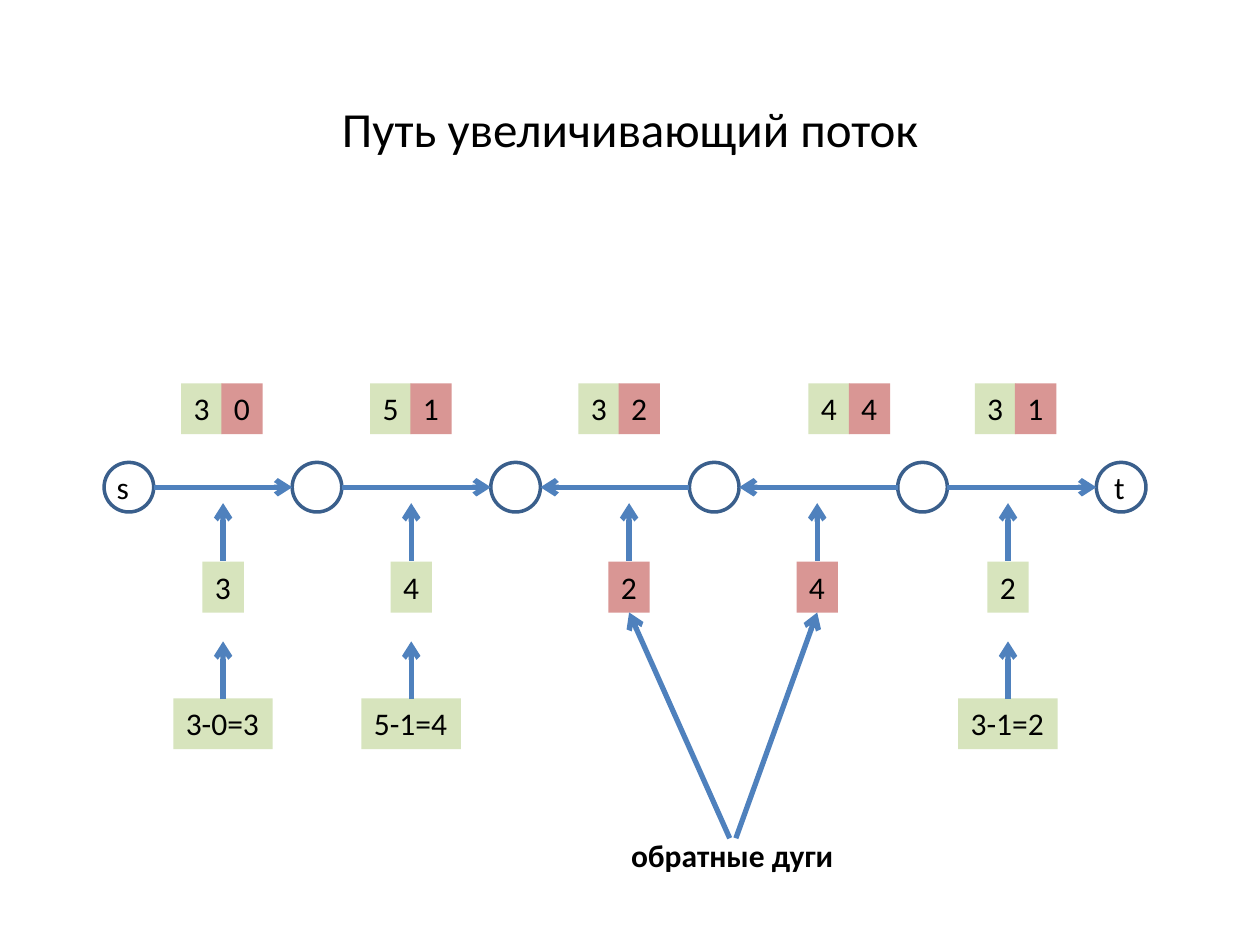
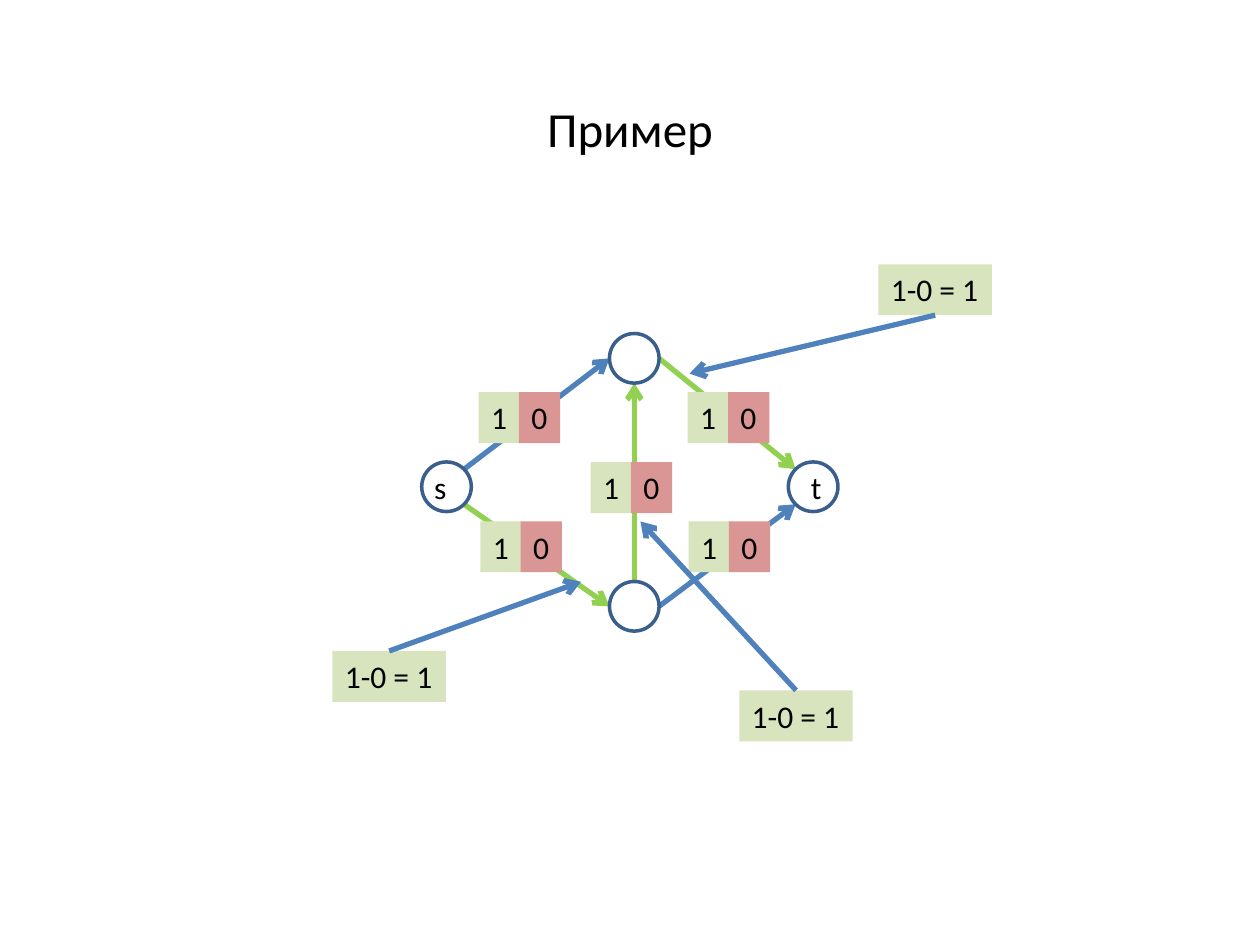
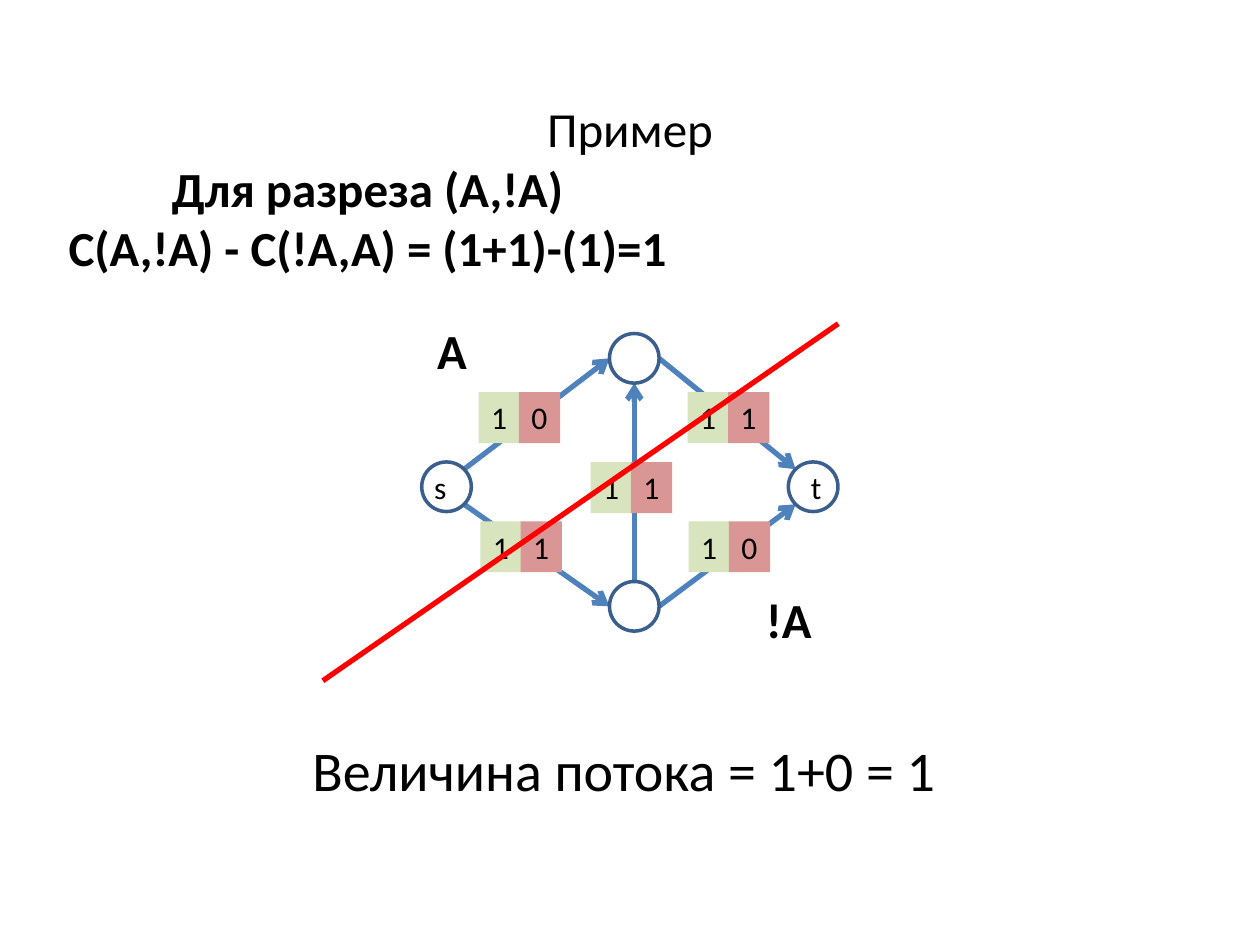
import math

import pptx
import pptx.dml.color
import pptx.enum.shapes
import pptx.enum.text
import pptx.oxml
import pptx.oxml.ns
import pptx.util

Pt = pptx.util.Pt

COLORS = {
    "text": "000000",
    "node": "FFFFFF",
    "outline": "3A5F8C",
    "arc": "4F81BD",
    "path": "92D050",
    "capacity": "D7E4BD",
    "flow": "D99694",
    "cut": "FF0000",
}
FONT = "Calibri"
NODE = 28.35
RADIUS = NODE / 2
DIGIT_WIDTH, LABEL_HEIGHT = 23.6, 29.1
TAG_STEP = 23


def rgb(name):
    return pptx.dml.color.RGBColor.from_string(COLORS[name])


def style_text(frame, size, bold=False, centred=False):
    for paragraph in frame.paragraphs:
        if centred:
            paragraph.alignment = pptx.enum.text.PP_ALIGN.CENTER
        for run in paragraph.runs:
            run.font.name = FONT
            run.font.size = Pt(size)
            run.font.bold = bold
            run.font.color.rgb = rgb("text")


def add_titled_slide(deck, title):
    slide = deck.slides.add_slide(deck.slide_layouts[5])
    heading = slide.shapes.title
    heading.left, heading.top = Pt(54), Pt(15)
    heading.width, heading.height = Pt(612), Pt(116)
    heading.text_frame.text = title
    heading.text_frame.vertical_anchor = pptx.enum.text.MSO_ANCHOR.MIDDLE
    style_text(heading.text_frame, 28, centred=True)
    return slide


def add_label(slide, text, left, top, width=DIGIT_WIDTH, height=LABEL_HEIGHT,
              fill=None, size=18, bold=False):
    """One line of left-aligned text in a box that fits it."""
    label = slide.shapes.add_textbox(Pt(left), Pt(top), Pt(width), Pt(height))
    if fill:
        label.fill.solid()
        label.fill.fore_color.rgb = rgb(fill)
    label.text_frame.text = text
    label.text_frame.word_wrap = False
    label.text_frame.auto_size = pptx.enum.text.MSO_AUTO_SIZE.SHAPE_TO_FIT_TEXT
    style_text(label.text_frame, size, bold)


def add_caption(slide, text, left, top, width, height):
    """Bold text centred in both directions."""
    caption = slide.shapes.add_textbox(Pt(left), Pt(top), Pt(width), Pt(height))
    caption.text_frame.text = text
    caption.text_frame.word_wrap = True
    caption.text_frame.vertical_anchor = pptx.enum.text.MSO_ANCHOR.MIDDLE
    style_text(caption.text_frame, 28, bold=True, centred=True)


def add_line(slide, start, end, color="arc", arrow=True):
    line = slide.shapes.add_connector(
        pptx.enum.shapes.MSO_CONNECTOR.STRAIGHT, *map(Pt, start + end))
    line.line.color.rgb = rgb(color)
    line.line.width = Pt(3)
    properties = line._element.spPr
    if arrow:
        outline = properties.find(pptx.oxml.ns.qn("a:ln"))
        tip = outline.makeelement(pptx.oxml.ns.qn("a:tailEnd"), {"type": "arrow"})
        outline.append(tip)
    properties.append(properties.makeelement(pptx.oxml.ns.qn("a:effectLst"), {}))


def add_node(slide, left, top, name="", name_shift=0):
    node = slide.shapes.add_shape(
        pptx.enum.shapes.MSO_SHAPE.OVAL, Pt(left), Pt(top), Pt(NODE), Pt(NODE))
    node.shadow.inherit = False
    node.fill.solid()
    node.fill.fore_color.rgb = rgb("node")
    node.line.color.rgb = rgb("outline")
    node.line.width = Pt(2)
    if name:
        add_label(slide, name, left + name_shift, top - 0.3, 21.3)


def add_tag(slide, capacity, flow, left, top):
    add_label(slide, capacity, left, top, fill="capacity")
    add_label(slide, flow, left + TAG_STEP, top, fill="flow")


def add_augmenting_path(slide, left, top):
    node_lefts = [left + x for x in (0, 107.5, 221, 334.5, 453.5, 567)]
    node_top = top + 45.25
    axis = node_top + RADIUS
    # capacity, flow, tag offset, residual offset, arc runs forward
    arcs = [
        (3, 0, 44, 68, True),
        (5, 1, 152, 175.5, True),
        (3, 2, 271, 300, False),
        (4, 4, 402.5, 407.5, False),
        (3, 1, 497.5, 516.5, True),
    ]
    names = {0: ("s", 0), 5: ("t", 3)}
    for index, node_left in enumerate(node_lefts):
        add_node(slide, node_left, node_top, *names.get(index, ()))

    back_arc_starts = [(left + 357.5, top + 260), (left + 361, top + 260)]
    add_label(slide, "обратные дуги", left + 294, top + 255, 131, bold=True)
    for index, (capacity, flow, tag_x, residual_x, forward) in enumerate(arcs):
        ends = [(node_lefts[index] + NODE, axis), (node_lefts[index + 1], axis)]
        add_line(slide, *(ends if forward else reversed(ends)))
        add_tag(slide, str(capacity), str(flow), left + tag_x, top)

        centre = left + residual_x
        residual = capacity - flow if forward else flow
        add_label(slide, str(residual), centre - DIGIT_WIDTH / 2, top + 102,
                  fill="capacity" if forward else "flow")
        add_line(slide, (centre, top + 101.5), (centre, top + 68.5))
        if forward:
            add_label(slide, f"{capacity}-{flow}={residual}", centre - 28.4,
                      top + 180, 56.8, fill="capacity")
            add_line(slide, (centre, top + 180.5), (centre, top + 147.5))
        else:
            add_line(slide, back_arc_starts.pop(0), (centre, top + 131))


def add_network(slide, left, top, flows, path=()):
    """Four-node network; flows maps each arc to its flow, path arcs are green."""
    node_offsets = {"s": (0, 73.4), "upper": (107.3, 0),
                    "lower": (107.3, 141.7), "t": (209.5, 73.4)}
    # arc: start angle, end angle (clockwise from the right), tag offset
    arcs = {
        ("s", "upper"): (-45, 180, (32.5, 33.5)),
        ("upper", "t"): (0, -135, (152, 33.5)),
        ("s", "lower"): (45, 180, (33.5, 107.3)),
        ("lower", "t"): (0, 135, (152.5, 107.3)),
        ("lower", "upper"): (-90, 90, (96.5, 73.5)),
    }

    def rim(node, degrees):
        x, y = node_offsets[node]
        angle = math.radians(degrees)
        return (left + x + RADIUS * (1 + math.cos(angle)),
                top + y + RADIUS * (1 + math.sin(angle)))

    for arc, (start_angle, end_angle, _) in arcs.items():
        add_line(slide, rim(arc[0], start_angle), rim(arc[1], end_angle),
                 "path" if arc in path else "arc")
    names = {"s": ("s", 0), "t": ("t", 5.8)}
    for node, (x, y) in node_offsets.items():
        add_node(slide, left + x, top + y, *names.get(node, ()))
    for arc, (_, _, (x, y)) in arcs.items():
        add_tag(slide, "1", str(flows.get(arc, 0)), left + x, top + y)


def add_residual_note(slide, left, top, target):
    width = 64.8
    add_label(slide, "1-0 = 1", left, top, width, fill="capacity")
    edge = top if target[1] < top else top + LABEL_HEIGHT
    add_line(slide, (left + width / 2, edge), target)


def add_cut(slide, left, top):
    add_line(slide, (left + 294.5, top), (left, top + 204), "cut", arrow=False)
    add_caption(slide, "A", left + 11.5, top - 17.5, 124.5, 65)
    add_caption(slide, "!A", left + 204, top + 136, 124.5, 65)


def main():
    deck = pptx.Presentation()
    deck.slide_width, deck.slide_height = Pt(720), Pt(540)
    network_corner = (241, 190.6)
    path = [("s", "lower"), ("lower", "upper"), ("upper", "t")]

    add_augmenting_path(add_titled_slide(deck, "Путь увеличивающий поток"), 59.5, 219)

    before = add_titled_slide(deck, "Пример")
    add_network(before, *network_corner, {}, path)
    add_residual_note(before, 190, 372, (332, 332.5))
    add_residual_note(before, 422.5, 394.5, (366, 298))
    add_residual_note(before, 502, 151, (394, 213.5))

    after = add_titled_slide(deck, "Пример")
    add_network(after, *network_corner, dict.fromkeys(path, 1))
    add_label(after, "Величина потока = 1+0 = 1", 171.5, 417, 381.5, 46, size=32)
    add_cut(after, 184.5, 185)
    add_caption(after, "Для разреза (A,!A)\nC(A,!A) - C(!A,A) = (1+1)-(1)=1",
                0, 43, 420, 162)
    deck.save("out.pptx")


if __name__ == "__main__":
    main()
